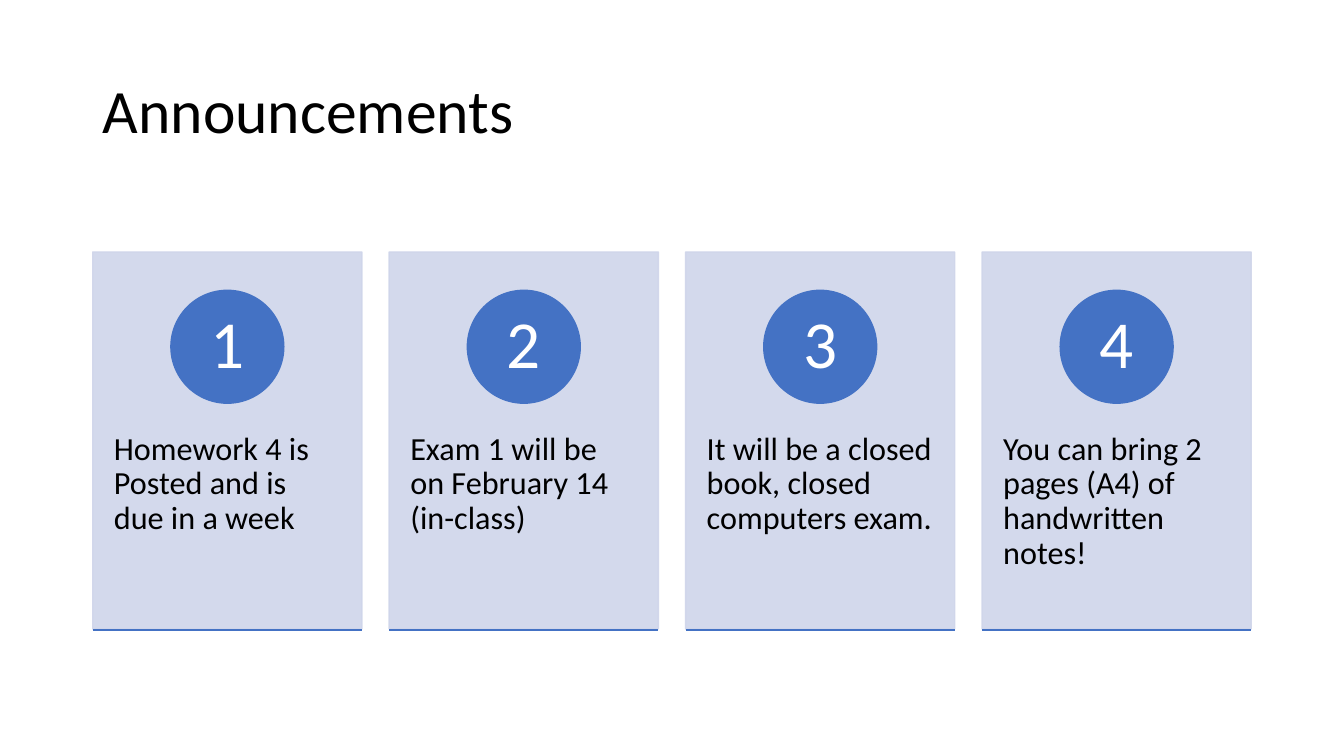
from pptx import Presentation
from pptx.dml.color import RGBColor
from pptx.enum.shapes import MSO_CONNECTOR, MSO_SHAPE
from pptx.enum.text import MSO_ANCHOR, PP_ALIGN
from pptx.oxml.ns import qn
from pptx.util import Inches, Pt
from lxml import etree

# Content
TITLE = "Announcements"
ANNOUNCEMENTS = [
    "Homework 4 is Posted and is due in a week",
    "Exam 1 will be on February 14 (in-class)",
    "It will be a closed book, closed computers exam.",
    "You can bring 2 pages (A4) of handwritten notes!",
]

# Layout in inches
LEFT, TOP = 0.92, 2.5
CARD_W, CARD_H, STEP = 2.67, 3.74, 2.94
CIRCLE = 1.12
CIRCLE_TOP, TEXT_TOP, TEXT_H, RULE_Y = 2.88, 3.93, 2.25, 6.25
BLUE, PALE, BLACK, WHITE = "4472C4", "CFD5EA", "000000", "FFFFFF"


def rgb(value):
    return RGBColor.from_string(value)


def write(sp, text, size, color=BLACK, align=PP_ALIGN.LEFT,
          anchor=MSO_ANCHOR.TOP, insets=(0.1, 0.05)):
    tf = sp.text_frame
    tf.word_wrap = True
    tf.vertical_anchor = anchor
    tf.margin_left = tf.margin_right = Inches(insets[0])
    tf.margin_top = tf.margin_bottom = Inches(insets[1])
    p = tf.paragraphs[0]
    p.alignment = align
    p.line_spacing = 0.9
    r = p.add_run()
    r.text = text
    r.font.size = Pt(size)
    r.font.name = "Calibri"
    r.font.color.rgb = rgb(color)


def add_filled(kind, x, y, w, h, color, opacity=100):
    sp = s.shapes.add_shape(kind, Inches(x), Inches(y), Inches(w), Inches(h))
    sp.shadow.inherit = False
    sp.fill.solid()
    sp.fill.fore_color.rgb = rgb(color)
    sp.line.color.rgb = rgb(color)
    sp.line.width = Pt(1)
    if opacity < 100:
        for clr in sp._element.spPr.iter(qn("a:srgbClr")):
            etree.SubElement(clr, qn("a:alpha"), val=str(opacity * 1000))
    return sp


def add_rule(x, y, w):
    rule = s.shapes.add_connector(MSO_CONNECTOR.STRAIGHT, Inches(x), Inches(y),
                                  Inches(x + w), Inches(y))
    rule.line.color.rgb = rgb(BLUE)
    rule.line.width = Pt(1)
    etree.SubElement(rule._element.spPr, qn("a:effectLst"))


prs = Presentation()
prs.slide_width, prs.slide_height = Inches(13.33), Inches(7.5)
s = prs.slides.add_slide(prs.slide_layouts[5])

# Title
title = s.shapes.title
title.left, title.top = Inches(LEFT), Inches(0.4)
title.width, title.height = Inches(11.5), Inches(1.45)
write(title, TITLE, 44, anchor=MSO_ANCHOR.MIDDLE)

# Numbered cards
for i, announcement in enumerate(ANNOUNCEMENTS):
    x = LEFT + i * STEP
    add_filled(MSO_SHAPE.RECTANGLE, x, TOP, CARD_W, CARD_H, PALE, opacity=90)
    box = s.shapes.add_textbox(Inches(x), Inches(TEXT_TOP),
                               Inches(CARD_W), Inches(TEXT_H))
    write(box, announcement, 23, insets=(0.21, 0.36))
    circle = add_filled(MSO_SHAPE.OVAL, x + (CARD_W - CIRCLE) / 2, CIRCLE_TOP,
                        CIRCLE, CIRCLE, BLUE)
    write(circle, str(i + 1), 48, color=WHITE, align=PP_ALIGN.CENTER,
          anchor=MSO_ANCHOR.MIDDLE, insets=(0.09, 0.01))
    add_rule(x, RULE_Y, CARD_W)

prs.save("out.pptx")
